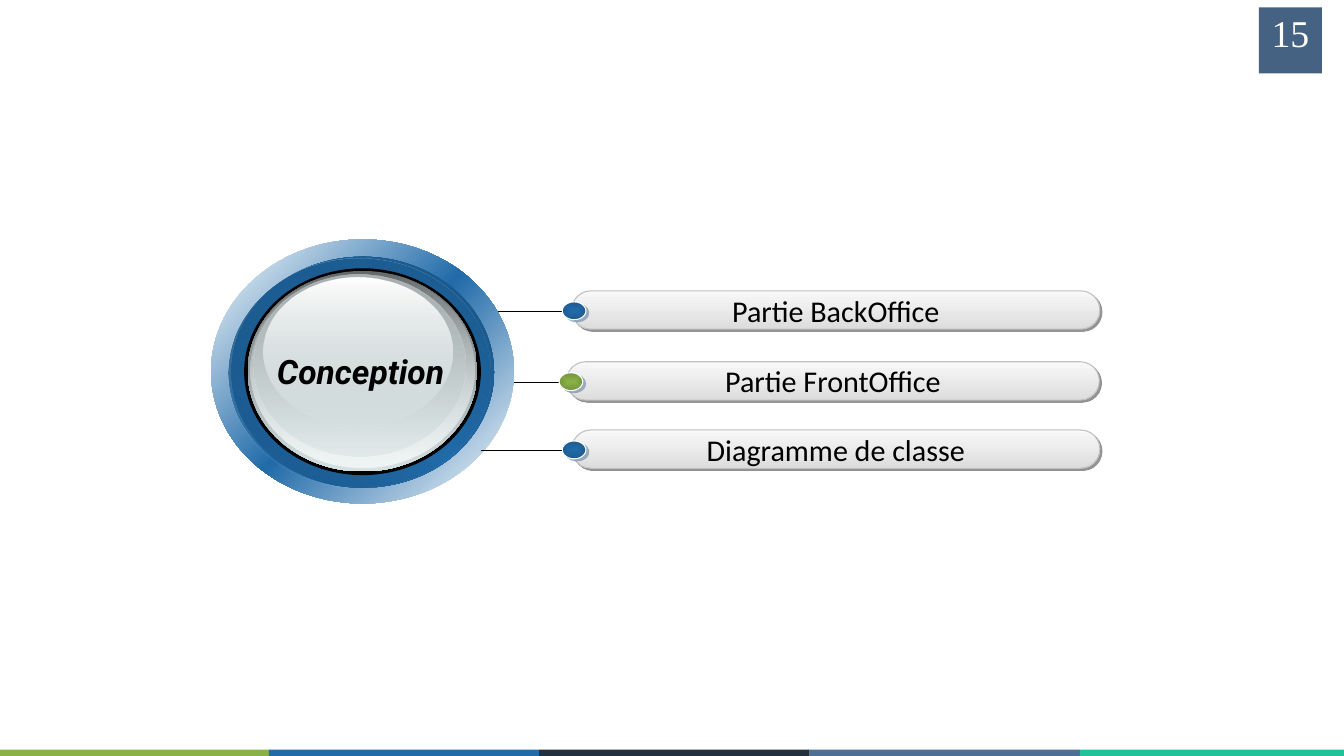
from lxml import etree
from pptx import Presentation
from pptx import util as u
from pptx.dml.color import RGBColor
from pptx.enum import shapes, text
from pptx.oxml import ns

SCALE = 9525
COLORS = {
    "green": "8AB147", "dark_green": "74943C", "blue": "216BA9", "dark_blue": "1C5A8E",
    "navy": "212F3F", "slate": "4D6F96", "teal": "22C199", "badge": "456283",
    "deep_blue": "195281", "mid_blue": "1B588B", "black": "000000", "white": "FFFFFF",
    "pill_top": "F8F8F8", "pill_bottom": "DDDDDD", "pill_edge": "C0C0C0", "shade": "292929",
    "glass_dark": "636869", "glass": "D6E1E2", "glass_light": "F1F5F5", "glass_grey": "AAB2B3",
}
OVAL = shapes.MSO_SHAPE.OVAL
RECTANGLE = shapes.MSO_SHAPE.RECTANGLE
PILL = shapes.MSO_SHAPE.ROUNDED_RECTANGLE


def px(*values):
    return [u.Emu(value * SCALE) for value in values]


def rgb(name):
    return RGBColor.from_string(COLORS[name])


def add_node(parent, tag, **attributes):
    return etree.SubElement(parent, ns.qn(tag), {key: str(value) for key, value in attributes.items()})


def add_color(parent, name, alpha=100):
    color = add_node(parent, "a:srgbClr", val=COLORS[name])
    if alpha < 100:
        add_node(color, "a:alpha", val=alpha * 1000)


def fill_gradient(shape, stops, angle=None):
    shape.fill.background()
    properties = shape.element.spPr
    empty_fill = properties.find(ns.qn("a:noFill"))
    gradient = etree.Element(ns.qn("a:gradFill"), rotWithShape="1")
    stop_list = add_node(gradient, "a:gsLst")
    for index, stop in enumerate(stops):
        position = index * 100000 // (len(stops) - 1)
        add_color(add_node(stop_list, "a:gs", pos=position), *stop)
    if angle is None:
        center = add_node(gradient, "a:path", path="shape")
        add_node(center, "a:fillToRect", l=50000, t=50000, r=50000, b=50000)
    else:
        add_node(gradient, "a:lin", ang=angle * 60000, scaled=0)
    properties.replace(empty_fill, gradient)


def add_shape(slide, kind, box, stops, angle=None, edge=None):
    shape = slide.shapes.add_shape(kind, *px(*box))
    shape.shadow.inherit = False
    if len(stops) == 1:
        shape.fill.solid()
        shape.fill.fore_color.rgb = rgb(stops[0][0])
    else:
        fill_gradient(shape, stops, angle)
    if edge:
        shape.line.color.rgb = rgb(edge)
        shape.line.width = u.Pt(1.5)
    else:
        shape.line.fill.background()
    return shape


def add_shadow(shape, color, distance, angle):
    effects = shape.element.spPr.find(ns.qn("a:effectLst"))
    shadow = add_node(effects, "a:outerShdw", blurRad=0, dist=u.Pt(distance),
                      dir=angle * 60000, algn="ctr", rotWithShape=0)
    add_color(shadow, color, 50)


def write(shape, words, color, frame_format, font_format):
    frame = shape.text_frame
    for key, value in frame_format.items():
        setattr(frame, key, value)
    paragraph = frame.paragraphs[0]
    paragraph.alignment = text.PP_ALIGN.CENTER
    run = paragraph.add_run()
    run.text = words
    for key, value in font_format.items():
        setattr(run.font, key, value)
    run.font.color.rgb = rgb(color)


def add_footer(slide, left, top, width, height):
    for index, color in enumerate(("green", "blue", "navy", "slate", "teal")):
        add_shape(slide, RECTANGLE, (left + index * width, top, width, height), [(color,)])


def add_topic(slide, left, top, width, height, words, line_start, dot_shift, dot_colors):
    middle = top + 39
    line = slide.shapes.add_connector(shapes.MSO_CONNECTOR.STRAIGHT,
                                      *px(line_start, middle, left, middle))
    line.line.color.rgb = rgb("black")
    line.line.width = u.Pt(1)
    add_node(line.element.spPr, "a:effectLst")

    pill = add_shape(slide, PILL, (left, top, width, height),
                     [("pill_top",), ("pill_bottom",)], 90, "pill_edge")
    pill.adjustments[0] = 0.5
    add_shadow(pill, "shade", 4.2, 45)
    write(pill, words, "black",
          {"word_wrap": False, "vertical_anchor": text.MSO_ANCHOR.MIDDLE},
          {"size": u.Pt(43), "name": "Calibri"})

    dot = add_shape(slide, OVAL, (left + dot_shift, top + 21, 45, 34),
                    [(color,) for color in dot_colors], edge="white")
    add_shadow(dot, "slate", 5, 37)


def add_medallion(slide, left, top, width, height, words):
    layers = [
        ((0, 0, width, height), [("white",), ("blue",), ("white",)], 45),
        ((39, 33, 500, 440), [("deep_blue",), ("blue",), ("deep_blue",)], 315),
        ((33, 36, 500, 436), [("mid_blue",), ("blue", 0)], 45),
        ((63, 55, 451, 394), [("black",)], None),
        ((70, 60, 437, 382), [("glass_dark",), ("glass",)], 90),
        ((75, 62, 427, 372), [("glass", 0), ("glass_light",)], 90),
        ((80, 66, 405, 348), [("glass_grey",), ("glass", 48)], 90),
        ((99, 72, 361, 282), [("white",), ("glass", 38)], 90),
    ]
    for (x, y, layer_width, layer_height), stops, angle in layers:
        add_shape(slide, OVAL, (left + x, top + y, layer_width, layer_height), stops, angle)
    label = slide.shapes.add_textbox(*px(left + 63, top + 208, 444, 87))
    write(label, words, "black", {"word_wrap": True},
          {"size": u.Pt(48), "name": "Roboto", "bold": True, "italic": True})


def add_page_number(slide, left, top, width, height, words):
    badge = add_shape(slide, RECTANGLE, (left, top, width, height), [("badge",)])
    write(badge, words, "white",
          {"word_wrap": True, "vertical_anchor": text.MSO_ANCHOR.TOP},
          {"size": u.Pt(54), "name": "Times New Roman"})


def main():
    presentation = Presentation()
    presentation.slide_width, presentation.slide_height = px(2560, 1440)
    slide = presentation.slides.add_slide(presentation.slide_layouts[6])
    blue_dot = ("blue", "dark_blue")
    add_footer(slide, -3, 1428, 515, 19)
    add_topic(slide, 1079, 689, 1015, 73, "Partie FrontOffice", 960, -14, ("green", "dark_green"))
    add_topic(slide, 1089, 554, 1006, 73, "Partie BackOffice", 916, -18, blue_dot)
    add_medallion(slide, 402, 456, 577, 503, "Conception")
    add_page_number(slide, 2398, 14, 120, 126, "15")
    add_topic(slide, 1089, 819, 1006, 73, "Diagramme de classe", 916, -18, blue_dot)
    presentation.save("out.pptx")


if __name__ == "__main__":
    main()
